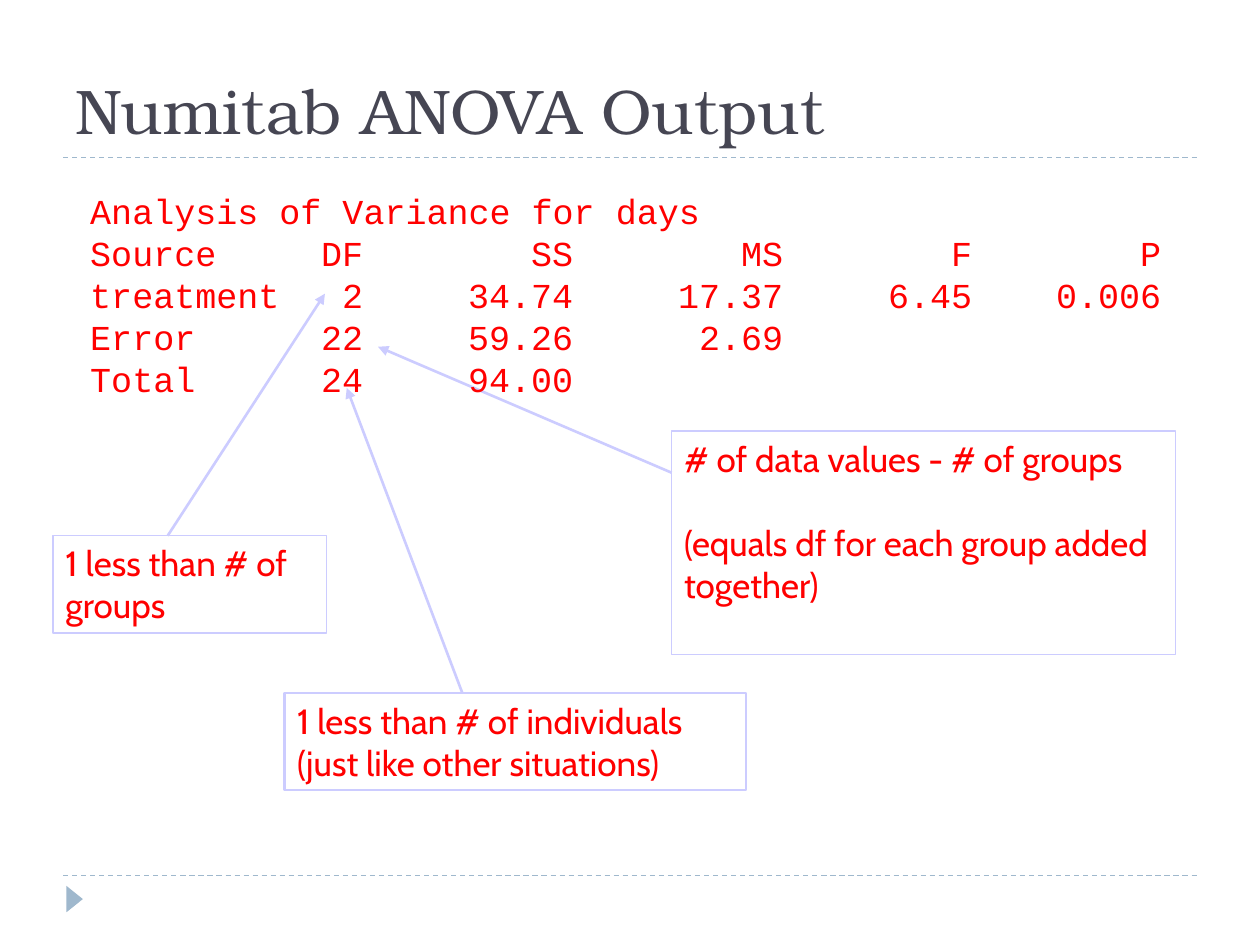
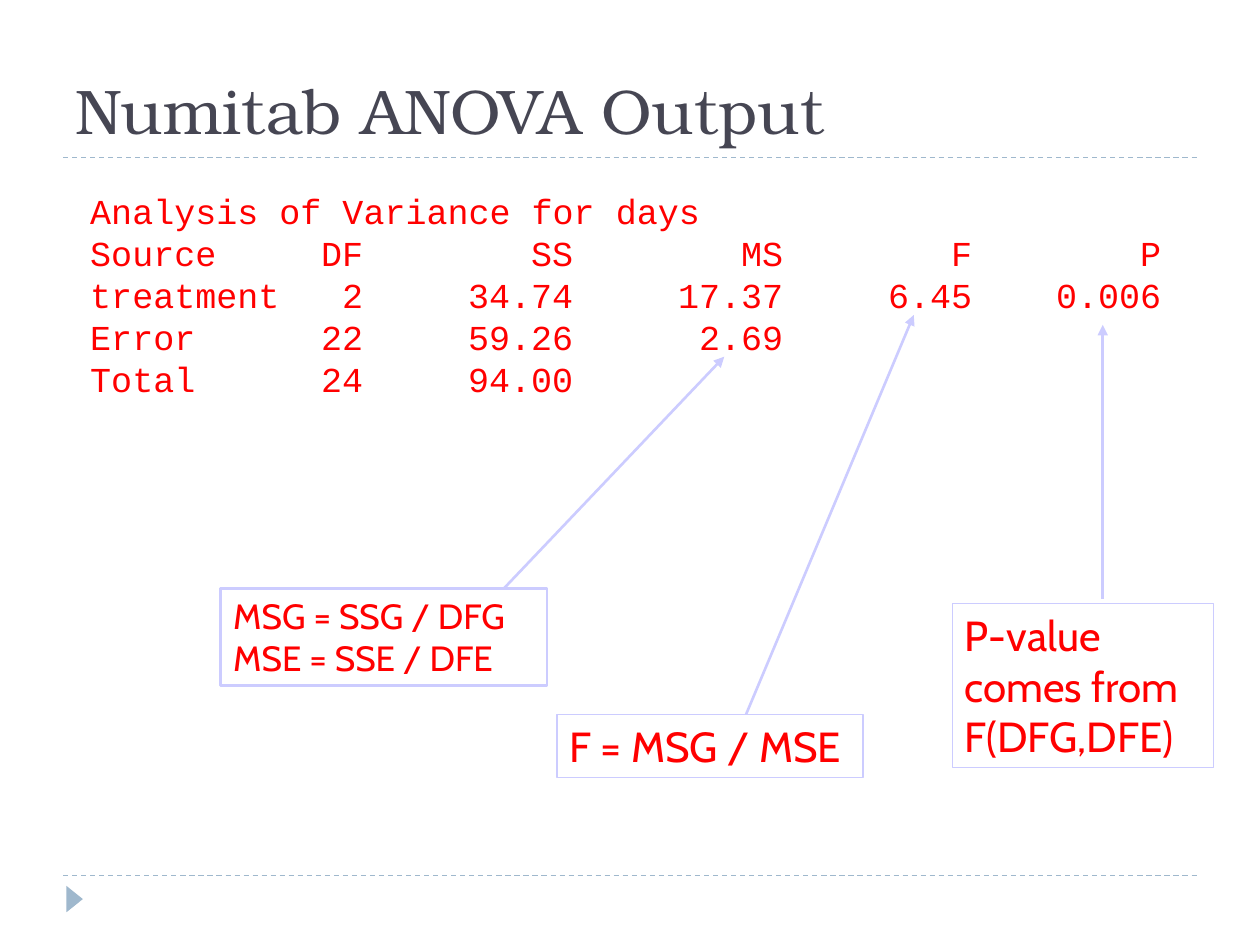
import pptx
import pptx.dml.color
import pptx.enum.dml
import pptx.enum.shapes
import pptx.enum.text
import pptx.oxml
import pptx.oxml.ns
import pptx.util
from lxml import etree

Cm, Pt = pptx.util.Cm, pptx.util.Pt
SHAPE = pptx.enum.shapes.MSO_SHAPE

TITLE = "Numitab ANOVA Output"
ANOVA_CAPTION = "Analysis of Variance for days"
ANOVA_ROWS = [
    ("Source", "DF", "SS", "MS", "F", "P"),
    ("treatment", "2", "34.74", "17.37", "6.45", "0.006"),
    ("Error", "22", "59.26", "2.69"),
    ("Total", "24", "94.00"),
]
COLUMN_ENDS = (13, 23, 33, 42, 51)  # in characters, right-aligned
CHARACTER_WIDTH = Pt(12)

# Places are in centimetres; an arrow is its start and its tip.
SLIDES = [
    [
        dict(lines=["1 less than # of groups"], size=20, border=0.75,
             place=(1.07, 10.8, 5.51, 1.96), arrow=(3.38, 10.8, 6.55, 5.92)),
        dict(lines=["# of data values - # of groups",
                    "(equals df for each group added together)"],
             size=20, border=0.75, gap=24,
             place=(13.54, 8.69, 10.16, 4.5), arrow=(13.54, 9.53, 7.62, 6.99)),
        dict(lines=["1 less than # of individuals", "(just like other situations)"],
             size=20, border=1.5,
             place=(5.74, 13.97, 9.3, 1.96), arrow=(9.32, 13.97, 6.99, 7.82)),
    ],
    [
        dict(lines=["MSG = SSG / DFG", "MSE = SSE / DFE"], size=20, border=1.5,
             place=(4.45, 11.86, 6.58, 1.96), arrow=(10.16, 11.86, 14.6, 7.19)),
        dict(lines=["F = MSG / MSE"], size=24, border=0.75,
             place=(11.23, 14.4, 6.17, 1.27), arrow=(15.04, 14.4, 18.42, 6.35)),
        dict(lines=["P-value", "comes from", "F(DFG,DFE)"], size=24, border=0.75,
             place=(19.2, 12.17, 5.26, 3.3), arrow=(22.23, 12.07, 22.23, 6.55)),
    ],
]

RULE_HEIGHTS = (17.65, 3.18)
RULE_ENDS = (1.27, 24.13)
ACCENT, CALLOUT, RED, TITLE_INK = "9FB8CD", "CCCCFF", "FF0000", "464653"
TITLE_FONT, BODY_FONT, OUTPUT_FONT = "TeX Gyre Bonum", "Cabin", "Courier New"


def paint(colour_format, hex_colour):
    colour_format.rgb = pptx.dml.color.RGBColor.from_string(hex_colour)


def add_line(slide, ends, colour, width):
    line = slide.shapes.add_connector(
        pptx.enum.shapes.MSO_CONNECTOR.STRAIGHT, *map(Cm, ends))
    paint(line.line.color, colour)
    line.line.width = Pt(width)
    etree.SubElement(line._element.spPr, pptx.oxml.ns.qn("a:effectLst"))
    return line


def write(frame, lines, font, size, colour, gap=0, **frame_format):
    """Fill a text frame, one paragraph a line, and return the paragraphs."""
    frame_format = {"word_wrap": True,
                    "vertical_anchor": pptx.enum.text.MSO_ANCHOR.TOP,
                    **frame_format}
    for attribute, value in frame_format.items():
        setattr(frame, attribute, value)
    for number, line in enumerate(lines):
        paragraph = frame.add_paragraph() if number else frame.paragraphs[0]
        paragraph.alignment = pptx.enum.text.PP_ALIGN.LEFT
        if number and gap:
            paragraph.space_before = Pt(gap)
        run = paragraph.add_run()
        run.text = line
        run.font.name, run.font.size = font, Pt(size)
        paint(run.font.color, colour)
    return frame.paragraphs


def add_frame(slide):
    """Title, dashed rules and corner marker found on every slide."""
    for height in RULE_HEIGHTS:
        rule = add_line(slide, (RULE_ENDS[0], height, RULE_ENDS[1], height), ACCENT, 0.75)
        rule.line.dash_style = pptx.enum.dml.MSO_LINE.DASH
    marker = slide.shapes.add_shape(SHAPE.ISOSCELES_TRIANGLE,
                                    *map(Cm, (1.24, 17.96, 0.53, 0.33)))
    marker.rotation = 90
    marker.shadow.inherit = False
    marker.fill.solid()
    paint(marker.fill.fore_color, ACCENT)
    marker.line.fill.background()
    title = slide.shapes.add_textbox(*map(Cm, (1.27, 0.43, 22.76, 2.67)))
    write(title.text_frame, [TITLE], TITLE_FONT, 36, TITLE_INK,
          vertical_anchor=pptx.enum.text.MSO_ANCHOR.BOTTOM)


def add_callout(slide, callout):
    box = slide.shapes.add_shape(SHAPE.RECTANGLE, *map(Cm, callout["place"]))
    box.shadow.inherit = False
    box.fill.background()
    paint(box.line.color, CALLOUT)
    box.line.width = Pt(callout["border"])
    write(box.text_frame, callout["lines"], BODY_FONT, callout["size"], RED,
          callout.get("gap", 0))
    arrow = add_line(slide, callout["arrow"], CALLOUT, 1.5)
    arrow.line._get_or_add_ln().append(pptx.oxml.parse_xml(
        f'<a:tailEnd {pptx.oxml.ns.nsdecls("a")} type="triangle"/>'))


def add_anova_output(slide):
    output = slide.shapes.add_textbox(*map(Cm, (1.57, 2.74, 22.15, 7.04)))
    lines = [ANOVA_CAPTION] + ["\t".join(row) for row in ANOVA_ROWS]
    stops = "".join(f'<a:tab pos="{end * CHARACTER_WIDTH}" algn="r"/>'
                    for end in COLUMN_ENDS)
    for paragraph in write(output.text_frame, lines, OUTPUT_FONT, 20, RED,
                           margin_top=Cm(1.07)):
        paragraph._p.get_or_add_pPr().append(pptx.oxml.parse_xml(
            f'<a:tabLst {pptx.oxml.ns.nsdecls("a")}>{stops}</a:tabLst>'))
        paragraph.line_spacing = Pt(24.1)


def main():
    deck = pptx.Presentation()
    deck.slide_width, deck.slide_height = Cm(25.4), Cm(19.05)
    for callouts in SLIDES:
        slide = deck.slides.add_slide(deck.slide_layouts[6])
        add_frame(slide)
        for callout in callouts:
            add_callout(slide, callout)
        add_anova_output(slide)
    deck.save("out.pptx")


if __name__ == "__main__":
    main()
